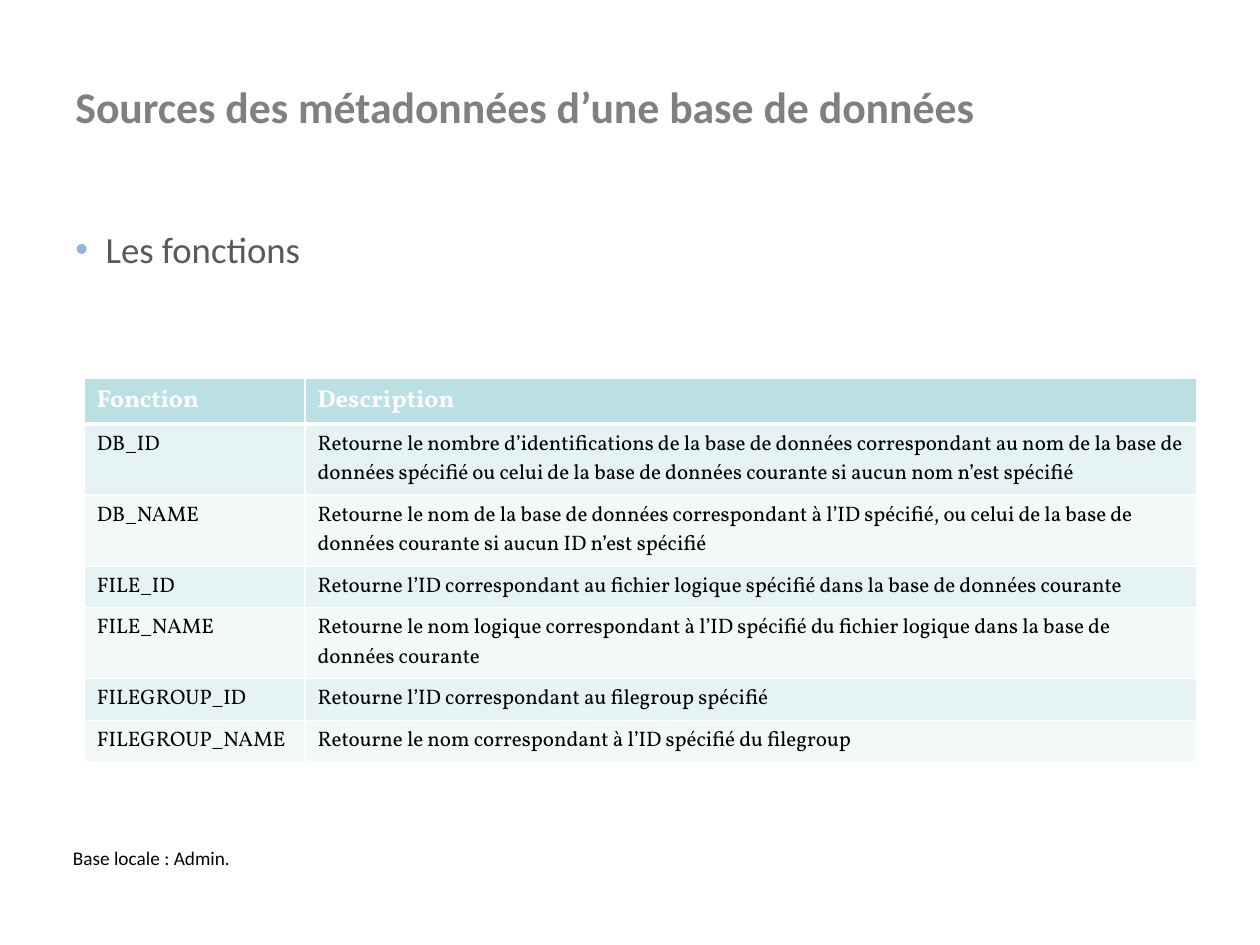
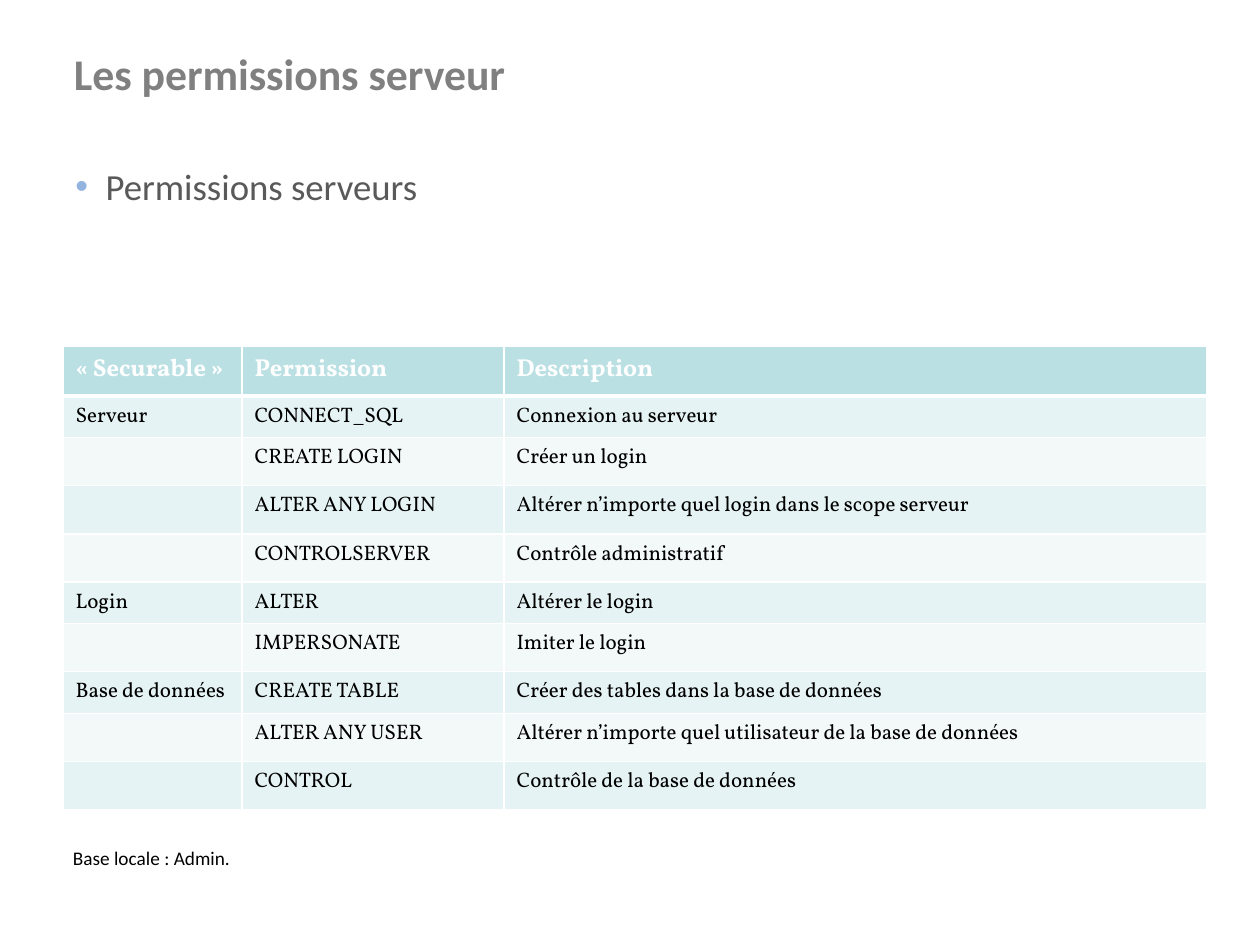
"""Build two slides on database metadata functions and server permissions."""
import lxml.etree
import pptx
import pptx.dml.color
import pptx.enum.text
import pptx.oxml.ns
import pptx.util

Cm = pptx.util.Cm
Pt = pptx.util.Pt
qn = pptx.oxml.ns.qn
TOP = pptx.enum.text.MSO_ANCHOR.TOP
MIDDLE = pptx.enum.text.MSO_ANCHOR.MIDDLE

WHITE, BLACK = "FFFFFF", "000000"
TITLE_GREY, BODY_GREY, BULLET_BLUE = "808080", "595959", "92B4DF"
HEADER_FILL, BAND_FILLS = "BBE0E3", ("E6F3F4", "F3F9F9")
FOOTER = "Base locale : Admin."


def color(code):
    return pptx.dml.color.RGBColor.from_string(code)


def write(frame, text, size, ink, font="Calibri", bold=False, bullet=None, anchor=TOP):
    frame.word_wrap = True
    frame.vertical_anchor = anchor
    paragraph = frame.paragraphs[0]
    if not text:
        paragraph._p.get_or_add_endParaRPr().set("sz", str(size * 100))
        return
    if bullet:
        properties = paragraph._p.get_or_add_pPr()
        properties.set("marL", str(Cm(0.61)))
        properties.set("indent", str(-Cm(0.61)))
        tint = lxml.etree.SubElement(properties, qn("a:buClr"))
        lxml.etree.SubElement(tint, qn("a:srgbClr"), val=bullet)
        lxml.etree.SubElement(properties, qn("a:buSzPct"), val="99000")
        lxml.etree.SubElement(properties, qn("a:buFont"), typeface="Arial")
        lxml.etree.SubElement(properties, qn("a:buChar"), char="•")
    run = paragraph.add_run()
    run.text = text
    run.font.size = Pt(size)
    run.font.name = font
    run.font.bold = bold
    run.font.color.rgb = color(ink)


pages = [
    {
        "title": "Sources des métadonnées d’une base de données",
        "title_box": (1.27, 0.2, 22.86, 3.89),
        "title_anchor": MIDDLE,
        "topic": "Les fonctions",
        "topic_box": (1.27, 4.45, 22.86, 10.9),
        "corner": (1.7, 7.62),
        "widths": (4.45, 17.98),
        "heights": (0.93, 1.43, 1.43, 0.84, 1.43, 0.84, 0.84),
        "rows": [
            ("Fonction", "Description"),
            ("DB_ID", "Retourne le nombre d’identifications de la base de données "
             "correspondant au nom de la base de données spécifié ou celui de la "
             "base de données courante si aucun nom n’est spécifié"),
            ("DB_NAME", "Retourne le nom de la base de données correspondant à l’ID "
             "spécifié, ou celui de la base de données courante si aucun ID n’est spécifié"),
            ("FILE_ID", "Retourne l’ID correspondant au fichier logique spécifié dans "
             "la base de données courante"),
            ("FILE_NAME", "Retourne le nom logique correspondant à l’ID spécifié du "
             "fichier logique dans la base de données courante"),
            ("FILEGROUP_ID", "Retourne l’ID correspondant au filegroup spécifié"),
            ("FILEGROUP_NAME", "Retourne le nom correspondant à l’ID spécifié du filegroup"),
        ],
    },
    {
        "title": "Les permissions serveur",
        "title_box": (1.24, 0.81, 22.89, 2.01),
        "title_anchor": TOP,
        "topic": "Permissions serveurs",
        "topic_box": (1.27, 3.18, 22.86, 13.79),
        "corner": (1.27, 6.99),
        "widths": (3.61, 5.28, 14.17),
        "heights": (0.99, 0.84, 0.97, 0.97, 0.97, 0.84, 0.97, 0.84, 0.97, 0.97),
        "rows": [
            ("« Securable »", "Permission", "Description"),
            ("Serveur", "CONNECT_SQL", "Connexion au serveur"),
            ("", "CREATE LOGIN", "Créer un login"),
            ("", "ALTER ANY LOGIN", "Altérer n’importe quel login dans le scope serveur"),
            ("", "CONTROLSERVER", "Contrôle administratif"),
            ("Login", "ALTER", "Altérer le login"),
            ("", "IMPERSONATE", "Imiter le login"),
            ("Base de données", "CREATE TABLE", "Créer des tables dans la base de données"),
            ("", "ALTER ANY USER", "Altérer n’importe quel utilisateur de la base de données"),
            ("", "CONTROL", "Contrôle de la base de données"),
        ],
    },
]

deck = pptx.Presentation()
deck.slide_width, deck.slide_height = Cm(25.4), Cm(19.05)

for page in pages:
    slide = deck.slides.add_slide(deck.slide_layouts[6])

    title = slide.shapes.add_textbox(*map(Cm, page["title_box"]))
    write(title.text_frame, page["title"], 25, TITLE_GREY, bold=True,
          anchor=page["title_anchor"])
    topic = slide.shapes.add_textbox(*map(Cm, page["topic_box"]))
    write(topic.text_frame, page["topic"], 21, BODY_GREY, bullet=BULLET_BLUE)
    footer = slide.shapes.add_textbox(Cm(1.24), Cm(16.97), Cm(7.01), Cm(1.09))
    footer.text_frame.margin_top = footer.text_frame.margin_bottom = Cm(0.1)
    footer.text_frame.margin_left = footer.text_frame.margin_right = Cm(0.23)
    write(footer.text_frame, FOOTER, 11, BLACK)

    widths, heights, rows = page["widths"], page["heights"], page["rows"]
    grid = slide.shapes.add_table(len(rows), len(widths), *map(Cm, page["corner"]),
                                  Cm(sum(widths)), Cm(sum(heights))).table
    grid.horz_banding = False
    for column, width in zip(grid.columns, widths):
        column.width = Cm(width)

    for index, (entries, height) in enumerate(zip(rows, heights)):
        grid.rows[index].height = Cm(height)
        header = index == 0
        for position, entry in enumerate(entries):
            cell = grid.cell(index, position)
            thick_side = {0: "lnB", 1: "lnT"}.get(index)
            for side in ("lnL", "lnR", "lnT", "lnB"):
                weight = Pt(3 if side == thick_side else 0.96)
                border = lxml.etree.SubElement(cell._tc.get_or_add_tcPr(),
                                               qn("a:" + side), w=str(weight))
                paint = lxml.etree.SubElement(border, qn("a:solidFill"))
                lxml.etree.SubElement(paint, qn("a:srgbClr"), val=WHITE)
            cell.fill.solid()
            cell.fill.fore_color.rgb = color(HEADER_FILL if header
                                             else BAND_FILLS[(index - 1) % 2])
            write(cell.text_frame, entry, 14 if header else 12,
                  WHITE if header else BLACK, font="Vollkorn", bold=header)

deck.save("out.pptx")
